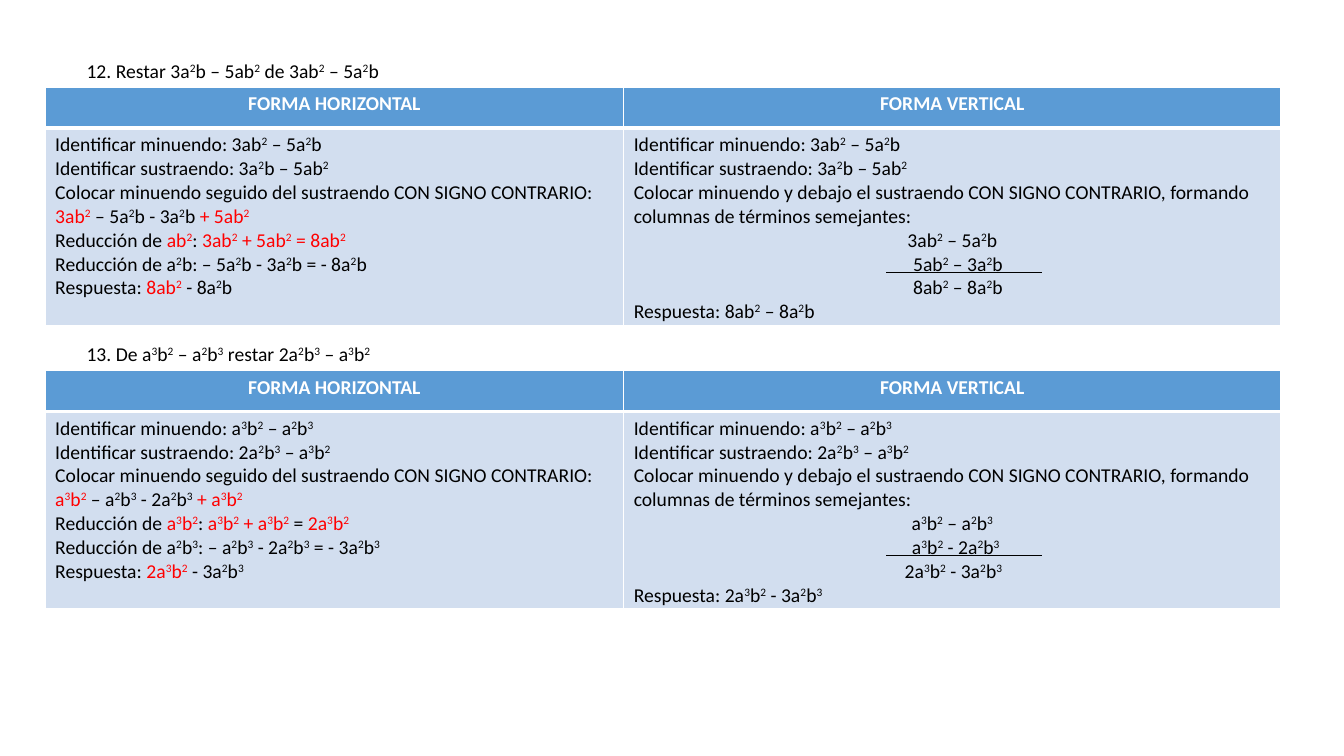
from itertools import groupby

from lxml.etree import SubElement
from pptx import Presentation
from pptx.dml.color import RGBColor
from pptx.enum.shapes import MSO_CONNECTOR
from pptx.enum.text import PP_ALIGN
from pptx.oxml.ns import qn
from pptx.util import Pt

PX = 9525
BLACK, WHITE, RED = "000000", "FFFFFF", "FF0000"
HEADER_FILL, BODY_FILL = "5B9BD5", "D2DEEF"
POWERS = "²³"
TO_DIGITS = str.maketrans(POWERS, "23")
HEADER_HEIGHT, BODY_HEIGHT = 39, 188
COLUMN_WIDTHS = (551, 626)

EXERCISES = [
    {
        "title": "12. Restar 3a²b – 5ab² de 3ab² – 5a²b",
        "minuend": "3ab² – 5a²b",
        "subtrahend": "3a²b – 5ab²",
        "horizontal": [
            "[3ab²] – 5a²b - 3a²b [+ 5ab²]",
            "Reducción de [ab²]: [3ab² + 5ab² = 8ab²]",
            "Reducción de a²b: – 5a²b - 3a²b = - 8a²b",
            "Respuesta: [8ab²] - 8a²b",
        ],
        "opposite": ("5ab² – 3a²b", 266),
        "result": ("8ab² – 8a²b", 266),
    },
    {
        "title": "13. De a³b² – a²b³ restar 2a²b³ – a³b²",
        "minuend": "a³b² – a²b³",
        "subtrahend": "2a²b³ – a³b²",
        "horizontal": [
            "[a³b²] – a²b³ - 2a²b³ [+ a³b²]",
            "Reducción de [a³b²]: [a³b² + a³b²] = [2a³b²]",
            "Reducción de a²b³: – a²b³ - 2a²b³ = - 3a²b³",
            "Respuesta: [2a³b²] - 3a²b³",
        ],
        "opposite": ("a³b² - 2a²b³", 265),
        "result": ("2a³b² - 3a²b³", 258),
    },
]


def color(value):
    """Turn a hex string into a colour."""
    return RGBColor.from_string(value)


def write_line(para, text, base_color=BLACK, bold=False, indent=0, align=PP_ALIGN.LEFT):
    """Write one line, with [red] parts and raised powers."""
    para.alignment = align
    if indent:
        para._p.get_or_add_pPr().set("marL", str(indent * PX))
    for index, part in enumerate(text.replace("]", "[").split("[")):
        for raised, letters in groupby(part, lambda letter: letter in POWERS):
            span = para.add_run()
            span.text = "".join(letters).translate(TO_DIGITS)
            for name, value in {"name": "Calibri", "size": Pt(14), "bold": bold}.items():
                setattr(span.font, name, value)
            span.font.color.rgb = color(RED if index % 2 else base_color)
            if raised:
                span._r.get_or_add_rPr().set("baseline", "30000")


def fill_cell(cell, lines, fill, bottom_width=1):
    """Fill a cell with lines, a colour and white borders."""
    properties = cell._tc.get_or_add_tcPr()
    for side, width in {"lnL": 1, "lnR": 1, "lnT": 1, "lnB": bottom_width}.items():
        border = SubElement(properties, qn(f"a:{side}"), w=str(Pt(width)))
        solid = SubElement(border, qn("a:solidFill"))
        SubElement(solid, qn("a:srgbClr"), val=WHITE)
    cell.fill.solid()
    cell.fill.fore_color.rgb = color(fill)
    cell.margin_bottom = 0
    frame = cell.text_frame
    for index, line in enumerate(lines):
        para = frame.add_paragraph() if index else frame.paragraphs[0]
        write_line(para, **line)


def add_title(page, text, left, top, width, height):
    """Add the statement of an exercise."""
    box = page.shapes.add_textbox(left * PX, top * PX, width * PX, height * PX)
    box.text_frame.word_wrap = False
    write_line(box.text_frame.paragraphs[0], text)


def add_methods(page, exercise, left, top):
    """Add the table with both ways of subtracting."""
    grid = page.shapes.add_table(
        2, 2, left * PX, top * PX,
        sum(COLUMN_WIDTHS) * PX, (HEADER_HEIGHT + BODY_HEIGHT) * PX,
    ).table
    for row, height in zip(grid.rows, (HEADER_HEIGHT, BODY_HEIGHT)):
        row.height = height * PX
    terms = [
        f"Identificar minuendo: {exercise['minuend']}",
        f"Identificar sustraendo: {exercise['subtrahend']}",
    ]
    horizontal = terms + [
        "Colocar minuendo seguido del sustraendo CON SIGNO CONTRARIO:",
        *exercise["horizontal"],
    ]
    vertical = terms + [
        "Colocar minuendo y debajo el sustraendo CON SIGNO CONTRARIO, "
        "formando columnas de términos semejantes:",
    ]
    operation = [{"text": exercise["minuend"], "align": PP_ALIGN.CENTER}]
    for text, indent in (exercise["opposite"], exercise["result"]):
        operation.append({"text": text, "indent": indent})
    operation.append({"text": f"Respuesta: {exercise['result'][0]}"})
    columns = [
        ("FORMA HORIZONTAL", [{"text": text} for text in horizontal]),
        ("FORMA VERTICAL", [{"text": text} for text in vertical] + operation),
    ]
    for index, (heading, lines) in enumerate(columns):
        grid.columns[index].width = COLUMN_WIDTHS[index] * PX
        header = {"text": heading, "base_color": WHITE, "bold": True, "align": PP_ALIGN.CENTER}
        fill_cell(grid.cell(0, index), [header], HEADER_FILL, bottom_width=3)
        fill_cell(grid.cell(1, index), lines, BODY_FILL)


def add_sum_rule(page, left, top, width):
    """Add the line above the result of the vertical operation."""
    rule = page.shapes.add_connector(
        MSO_CONNECTOR.STRAIGHT, left * PX, top * PX, (left + width) * PX, top * PX
    )
    rule.line.color.rgb = color(BLACK)
    rule.line.width = Pt(0.5)
    SubElement(rule._element.spPr, qn("a:effectLst"))


def add_exercise(page, exercise, left, top):
    """Place an exercise from its top left corner."""
    add_title(page, exercise["title"], left + 30, top, 308, 32)
    add_methods(page, exercise, left, top + 32)
    add_sum_rule(page, left + 801, top + 208, 148)


def main():
    """Build the deck with its two exercises."""
    deck = Presentation()
    deck.slide_width, deck.slide_height = 1280 * PX, 720 * PX
    page = deck.slides.add_slide(deck.slide_layouts[6])
    for index, exercise in enumerate(EXERCISES):
        add_exercise(page, exercise, 43, 51 + 270 * index)
    deck.save("out.pptx")


if __name__ == "__main__":
    main()
